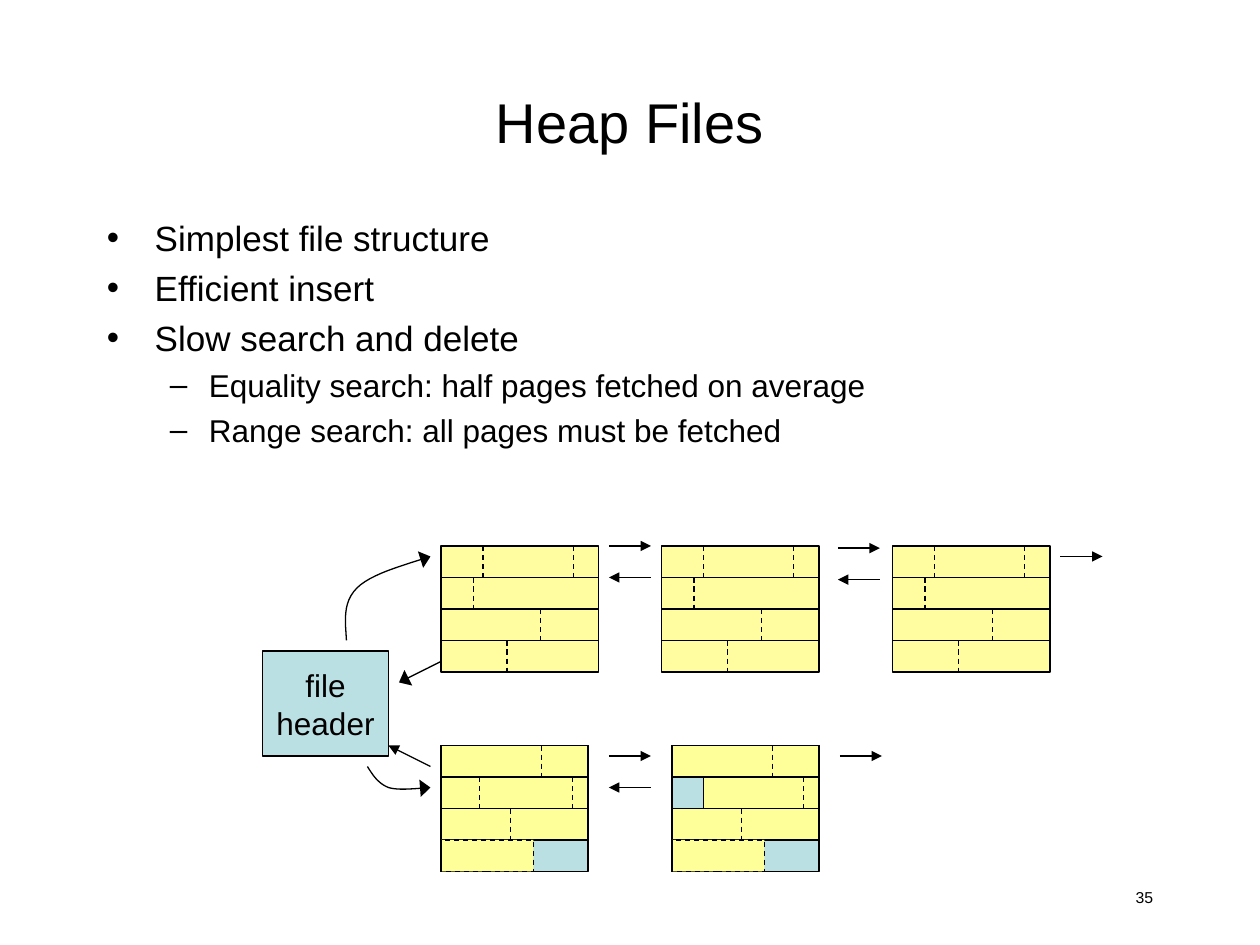
from lxml.etree import SubElement
from pptx import Presentation
from pptx.dml.color import RGBColor
from pptx.enum.dml import MSO_LINE
from pptx.enum.shapes import MSO_CONNECTOR, MSO_SHAPE
from pptx.enum.text import MSO_ANCHOR, PP_ALIGN
from pptx.oxml.ns import qn
from pptx.util import Inches, Pt

COLORS = {"ink": "000000", "blue": "BBE0E3", "cream": "FFFDA0", "lemon": "FFFF99"}
ROW = 3


class Board:
    """Draw styled parts on one slide, on a grid of 120 columns by 90 rows."""

    font = "Arial"
    weight = 0.75

    def __init__(self, deck):
        self.slide = deck.slides.add_slide(deck.slide_layouts[6])
        self.shapes = self.slide.shapes
        self.unit = deck.slide_width / 120

    def grid(self, *cells):
        return [round(cell * self.unit) for cell in cells]

    def color(self, name):
        return RGBColor.from_string(COLORS[name])

    def stroke(self, line, dash=False, head=None):
        line.color.rgb = self.color("ink")
        line.width = Pt(self.weight)
        if dash:
            line.dash_style = MSO_LINE.DASH
        if head:
            edge = line._get_or_add_ln()
            SubElement(edge, qn("a:tailEnd"), type="triangle", w=head, len="med")

    def style(self, part, size, align):
        part.alignment = align
        for run in part.runs:
            run.font.name = self.font
            run.font.size = Pt(size)
            run.font.color.rgb = self.color("ink")

    def label(self, frame, text, size, align, anchor, wrap=True):
        frame.text = text
        frame.word_wrap = wrap
        frame.vertical_anchor = anchor
        for part in frame.paragraphs:
            self.style(part, size, align)

    def text(self, place, text, size, align, anchor=MSO_ANCHOR.TOP):
        box = self.shapes.add_textbox(*self.grid(*place))
        self.label(box.text_frame, text, size, align, anchor)

    def bullets(self, place, items):
        frame = self.shapes.add_textbox(*self.grid(*place)).text_frame
        frame.word_wrap = True
        for spot, (level, text) in enumerate(items):
            part = frame.add_paragraph() if spot else frame.paragraphs[0]
            part.text = text
            part.level = level
            size, left, hang, mark = [(20, 0.38, 0.38, "•"), (18, 0.81, 0.31, "–")][level]
            self.style(part, size, PP_ALIGN.LEFT)
            part.space_before = Pt(size * 0.23)
            props = part._p.get_or_add_pPr()
            props.set("marL", str(Inches(left)))
            props.set("indent", str(-Inches(hang)))
            SubElement(props, qn("a:buFont"), typeface=self.font)
            SubElement(props, qn("a:buChar"), char=mark)

    def box(self, place, fill, dash=False):
        shape = self.shapes.add_shape(MSO_SHAPE.RECTANGLE, *self.grid(*place))
        shape.shadow.inherit = False
        shape.fill.solid()
        shape.fill.fore_color.rgb = self.color(fill)
        self.stroke(shape.line, dash)
        return shape

    def line(self, ends, dash=False, head=None):
        link = self.shapes.add_connector(MSO_CONNECTOR.STRAIGHT, *self.grid(*ends))
        self.stroke(link.line, dash, head)
        SubElement(link._element.spPr, qn("a:effectLst"))
        return link

    def curve(self, points, steps=12):
        track = [points[0]]
        for start in range(0, len(points) - 1, 3):
            a, b, c, d = points[start:start + 4]
            for step in range(1, steps + 1):
                t = step / steps
                u = 1 - t
                track.append([u**3 * p + 3 * u * u * t * q + 3 * u * t * t * r + t**3 * s
                              for p, q, r, s in zip(a, b, c, d)])
        spots = [self.grid(*point) for point in track]
        pen = self.shapes.build_freeform(*spots[0])
        pen.add_line_segments(spots[1:], close=False)
        shape = pen.convert_to_shape()
        shape.shadow.inherit = False
        shape.fill.background()
        self.stroke(shape.line, head="lg")

    def splits(self, left, top, rows):
        for row, marks in enumerate(rows):
            start = top + row * ROW
            for mark in marks:
                self.line((left + mark, start, left + mark, start + ROW), dash=True)

    def full(self, left, top=52, width=15):
        page = self.box((left, top, width, 4 * ROW), "cream")
        for row in range(1, 4):
            level = top + row * ROW
            rule = self.line((left, level, left + width, level))
            if row == 2:
                rule.begin_connect(page, 1)
                rule.end_connect(page, 3)
        self.splits(left, top, [(4, 12.6), (3.1,), (9.5,), (6.3,)])

    def free(self, left, gap, marks, top=71, width=14):
        self.box((left, top, width, 4 * ROW), "blue")
        for row, inset in enumerate((0, gap, 0)):
            self.box((left + inset, top + row * ROW, width - inset, ROW), "lemon")
        last = top + 3 * ROW
        self.box((left, last, 8.8, ROW), "lemon", dash=True)
        self.line((left, last, left, last + ROW))
        self.splits(left, top, [(9.6,), marks, (6.6,)])


def main():
    deck = Presentation()
    deck.slide_width, deck.slide_height = Inches(10), Inches(7.5)
    board = Board(deck)
    board.text((86, 84, 25, 4), "35", 9, PP_ALIGN.RIGHT)
    board.text((9, 4, 102, 15), "Heap Files", 32, PP_ALIGN.CENTER, MSO_ANCHOR.MIDDLE)
    board.bullets((9, 20, 102, 62), [
        (0, "Simplest file structure"),
        (0, "Efficient insert"),
        (0, "Slow search and delete"),
        (1, "Equality search: half pages fetched on average"),
        (1, "Range search: all pages must be fetched"),
    ])
    head = board.box((25, 62, 12, 10), "blue")
    board.label(head.text_frame, "file\nheader", 18, PP_ALIGN.CENTER, MSO_ANCHOR.MIDDLE, False)
    for left in (42, 63, 85):
        board.full(left)
    board.free(42, 0, (3.7, 12.5))
    board.free(64, 3, (12.5,))
    for left, top in ((58, 52), (79.8, 52.2), (58, 72)):
        board.line((left, top, left + 4, top), head="med")
        board.line((left + 4, top + ROW, left, top + ROW), head="med")
    for left, top in ((101, 53), (80, 72)):
        board.line((left, top, left + 4, top), head="med")
    board.line((41, 73, 37, 71), head="med")
    board.curve([(33, 61), (32.9, 59.2), (32.6, 57.4), (34, 56),
                 (35.3, 54.7), (38.2, 53.9), (41, 53)])
    board.curve([(42, 63), (42, 63), (40, 64), (38, 65)])
    board.curve([(35, 73), (35.5, 73.8), (36, 74.6), (37, 75),
                 (38, 75.3), (39.5, 75.1), (41, 75)])
    deck.save("out.pptx")


if __name__ == "__main__":
    main()
